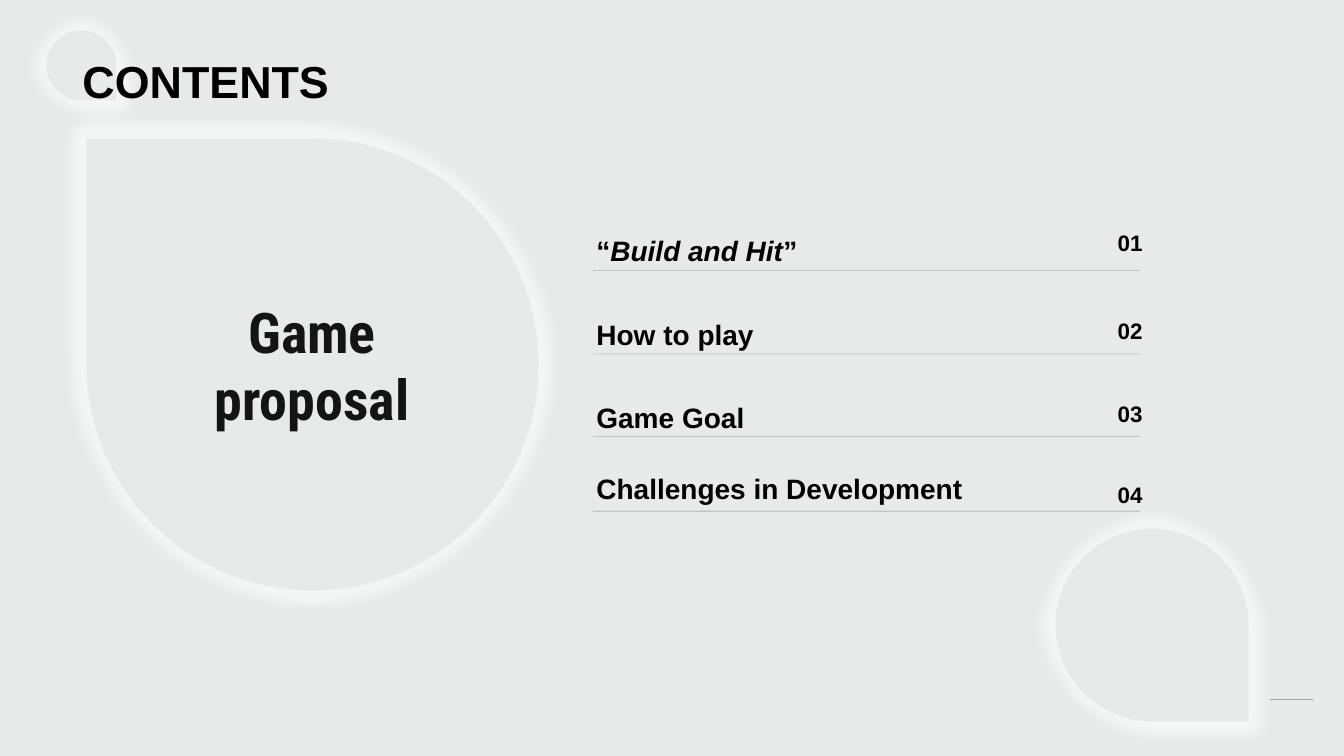
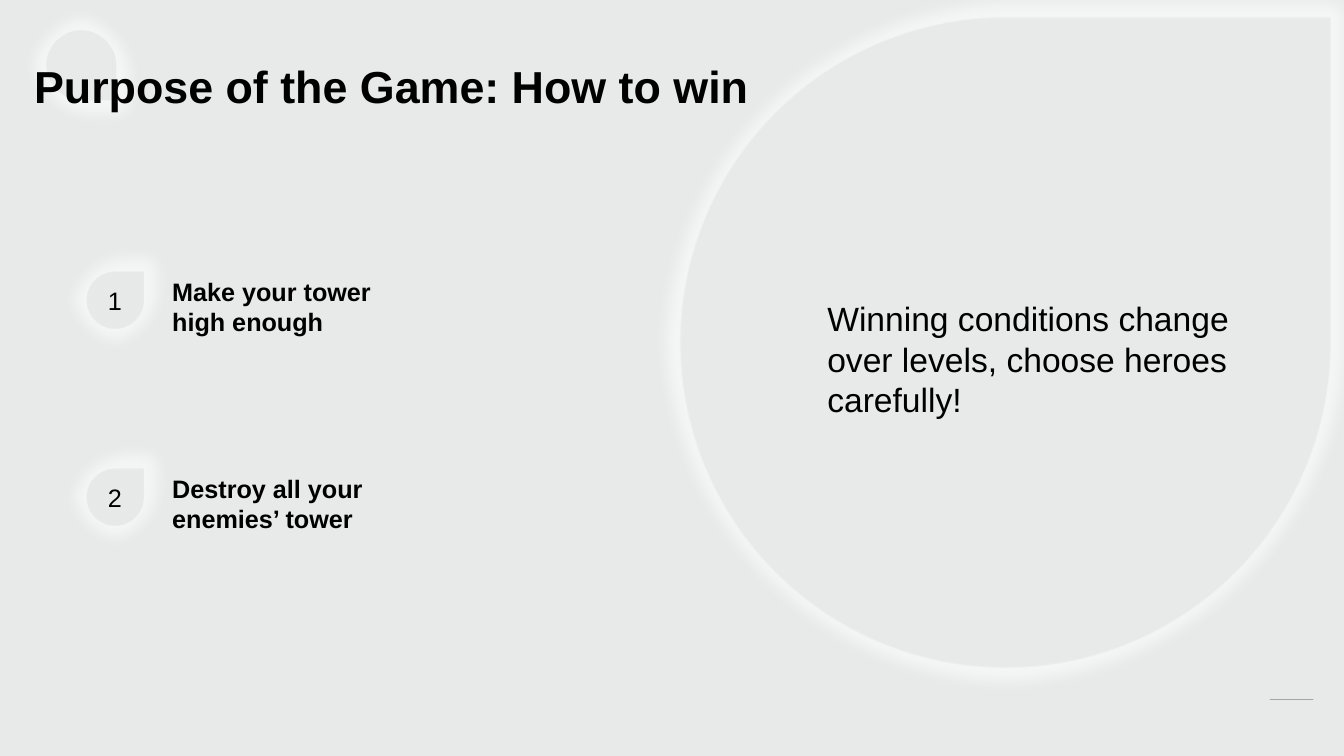
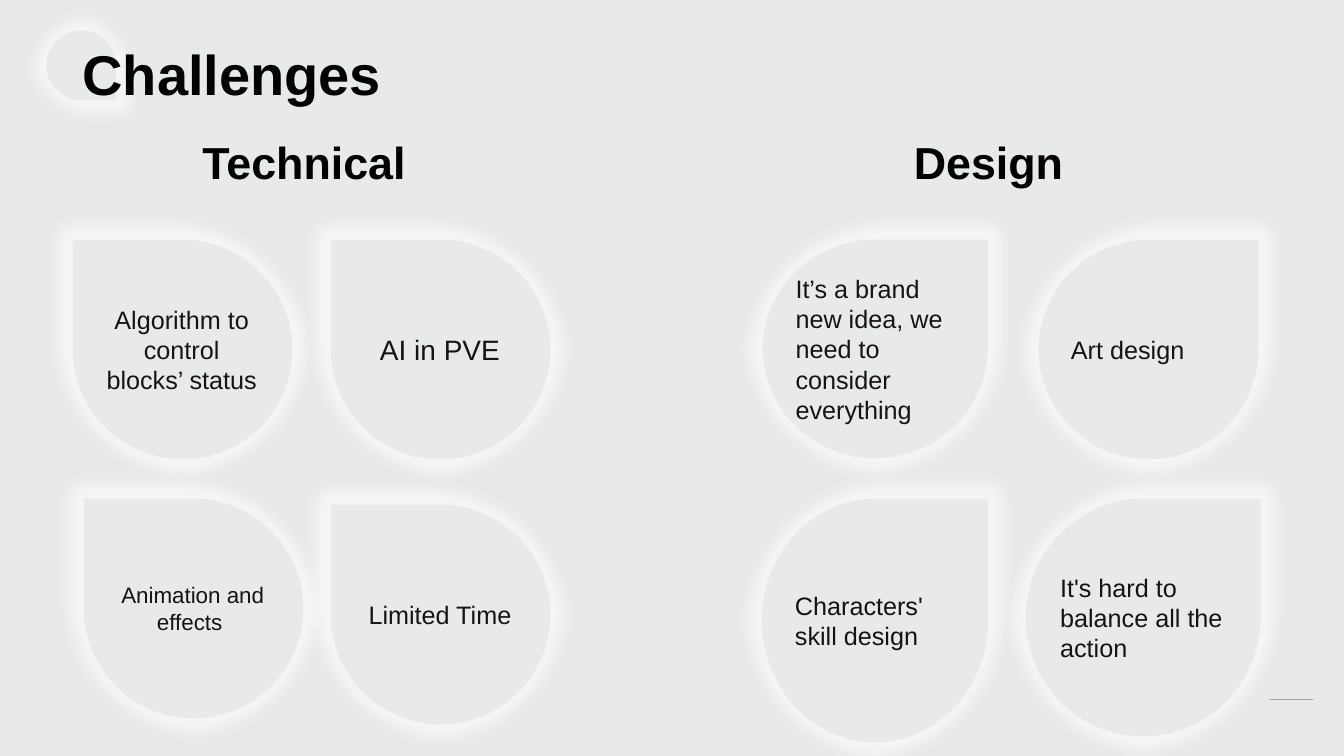
from lxml import etree
from pptx import Presentation
from pptx.dml.color import RGBColor
from pptx.enum.shapes import MSO_CONNECTOR, MSO_SHAPE
from pptx.enum.text import MSO_ANCHOR, PP_ALIGN
from pptx.oxml.ns import qn
from pptx.util import Cm, Pt

TEARDROP = MSO_SHAPE.TEAR
STRAIGHT = MSO_CONNECTOR.STRAIGHT
TOP, MIDDLE, BOTTOM = MSO_ANCHOR.TOP, MSO_ANCHOR.MIDDLE, MSO_ANCHOR.BOTTOM
LEFT, CENTER, RIGHT = PP_ALIGN.LEFT, PP_ALIGN.CENTER, PP_ALIGN.RIGHT

COLORS = {
    "background": "E8EAE9",
    "rim": "F5F6F6",
    "rule": "181818",
    "text": "000000",
    "drop_text": "141414",
}
BODY_FONT = "Arial"
DISPLAY_FONT = "Roboto Condensed"
TITLE_BOTTOM = 2.84


def color(name):
    return RGBColor.from_string(COLORS[name])


# Text
def fill_text(shape, paragraphs, size, bold=False, align=LEFT, anchor=TOP,
              font=BODY_FONT, ink="text", spacing=None):
    """Each paragraph is a list of (text, italic) runs."""
    frame = shape.text_frame
    frame.word_wrap = True
    frame.vertical_anchor = anchor
    for index, runs in enumerate(paragraphs):
        paragraph = frame.add_paragraph() if index else frame.paragraphs[0]
        paragraph.alignment = align
        if spacing:
            paragraph.line_spacing = spacing
        for text, italic in runs:
            run = paragraph.add_run()
            run.text = text
            run.font.name = font
            run.font.size = Pt(size)
            run.font.bold = bold
            run.font.italic = italic
            run.font.color.rgb = color(ink)


def plain(*lines):
    return [[(line, False)] for line in lines]


def add_text(slide, left, top, width, height, paragraphs, size, **style):
    shape = slide.shapes.add_textbox(Cm(left), Cm(top), Cm(width), Cm(height))
    fill_text(shape, paragraphs, size, **style)


def add_heading(slide, text, left, width, size=32, bottom=TITLE_BOTTOM):
    add_text(slide, left, bottom - TITLE_BOTTOM, width, TITLE_BOTTOM,
             plain(text), size, bold=True, anchor=BOTTOM, spacing=0.9)


# Drops and rules
def add_drop(slide, left, top, width, height=None, flip=None):
    """Teardrop with a soft pale rim; its tip is at the top right unless flipped."""
    shape = slide.shapes.add_shape(
        TEARDROP, Cm(left), Cm(top), Cm(width), Cm(height or width))
    shape.fill.solid()
    shape.fill.fore_color.rgb = color("background")
    shape.line.color.rgb = color("rim")
    shape.line.width = Pt(20)
    shape.shadow.inherit = False
    properties = shape._element.spPr
    effects = properties.find(qn("a:effectLst"))
    etree.SubElement(effects, qn("a:softEdge"), rad=str(Pt(10)))
    if flip:
        properties.find(qn("a:xfrm")).set(flip, "1")
    return shape


def add_rule(slide, left, right, y):
    rule = slide.shapes.add_connector(STRAIGHT, Cm(left), Cm(y), Cm(right), Cm(y))
    rule.line.width = Pt(0.25)
    rule.line.color.rgb = color("rule")
    properties = rule._element.spPr
    solid_color = next(properties.iter(qn("a:srgbClr")))
    etree.SubElement(solid_color, qn("a:alpha"), val="50000")
    etree.SubElement(properties, qn("a:effectLst"))


# Parts on every slide
def add_base_slide(presentation):
    slide = presentation.slides.add_slide(presentation.slide_layouts[6])
    add_drop(slide, 0.81, 0.41, 2.46, flip="flipV")
    add_rule(slide, 32, 33.1, 17.63)
    return slide


def build_contents(presentation):
    slide = add_base_slide(presentation)
    add_drop(slide, 26.26, 12.98, 5.54, flip="flipV")
    subject = add_drop(slide, 1.83, 3.15, 12.07, flip="flipH")
    fill_text(subject, plain("Game proposal"), 40, bold=True, align=CENTER,
              anchor=MIDDLE, font=DISPLAY_FONT, ink="drop_text")
    add_heading(slide, "CONTENTS", 1.83, 30.18)

    # Topic top, number top, rule height
    entries = [
        ([("“", False), ("Build and Hit", True), ("”", False)], 5.77, 5.64, 6.81),
        ([("How to play", False)], 7.87, 7.87, 8.92),
        ([("Game Goal", False)], 9.96, 9.96, 11),
        ([("Challenges in Development", False)], 11.76, 12.01, 12.88),
    ]
    for number, (topic, topic_top, number_top, rule_y) in enumerate(entries, 1):
        add_rule(slide, 14.94, 28.73, rule_y)
        add_text(slide, 14.78, topic_top, 10.26, 1.12, [topic], 20, bold=True)
        add_text(slide, 27.74, number_top, 1.3, 0.94, plain(f"{number:02d}"), 16,
                 bold=True, align=RIGHT)


def build_purpose(presentation):
    slide = add_base_slide(presentation)
    add_drop(slide, 16.81, 0.1, 17.04)
    goals = ["Make your tower high enough", "Destroy all your enemies’ tower"]
    for index, goal in enumerate(goals):
        top = 6.5 + index * 4.96
        badge = add_drop(slide, 1.83, top, 2.13)
        fill_text(badge, plain(str(index + 1)), 18, align=CENTER, anchor=MIDDLE)
        add_text(slide, 4.09, top + 0.34, 6, 1.8, plain(goal), 18, bold=True)
    add_heading(slide, "Purpose of the Game: How to win", 0.61, 30.18,
                bottom=2.97)
    add_text(slide, 20.6, 7.39, 11.02, 3.33, plain(
        "Winning conditions change over levels, choose heroes carefully!"), 24)


def build_challenges(presentation):
    slide = add_base_slide(presentation)
    add_heading(slide, "Challenges", 1.83, 30.18, size=40)
    add_heading(slide, "Technical", 4.85, 6.22, bottom=4.9)
    add_heading(slide, "Design", 22.78, 4.5, bottom=4.9)

    # Left, top, size, text
    technical = [
        (1.47, 5.69, 18, "Algorithm to control blocks’ status"),
        (7.98, 5.69, 20, "AI in PVE"),
        (7.98, 12.37, 18, "Limited Time"),
        (1.75, 12.22, 16, "Animation and effects "),
    ]
    for left, top, size, text in technical:
        drop = add_drop(slide, left, top, 6.22, flip="flipH")
        fill_text(drop, plain(text), size, align=CENTER, anchor=MIDDLE,
                  ink="drop_text")

    # Left, top, width, height, lines
    design = [
        (18.85, 12.22, 6.38, 6.83, ["Characters' skill design"]),
        (25.5, 12.22, 6.6, 6.68, ["It's hard to balance all the action"]),
        (25.83, 5.69, 6.22, 6.22, ["Art design"]),
        (18.87, 5.69, 6.35, 6.2,
         ["It’s a brand", "new idea, we need to consider everything"]),
    ]
    for left, top, width, height, lines in design:
        drop = add_drop(slide, left, top, width, height)
        fill_text(drop, plain(*lines), 18, anchor=MIDDLE, ink="drop_text")


def main():
    presentation = Presentation()
    presentation.slide_width = Cm(33.87)
    presentation.slide_height = Cm(19.05)
    background = presentation.slide_master.background.fill
    background.solid()
    background.fore_color.rgb = color("background")
    build_contents(presentation)
    build_purpose(presentation)
    build_challenges(presentation)
    presentation.save("out.pptx")


if __name__ == "__main__":
    main()
